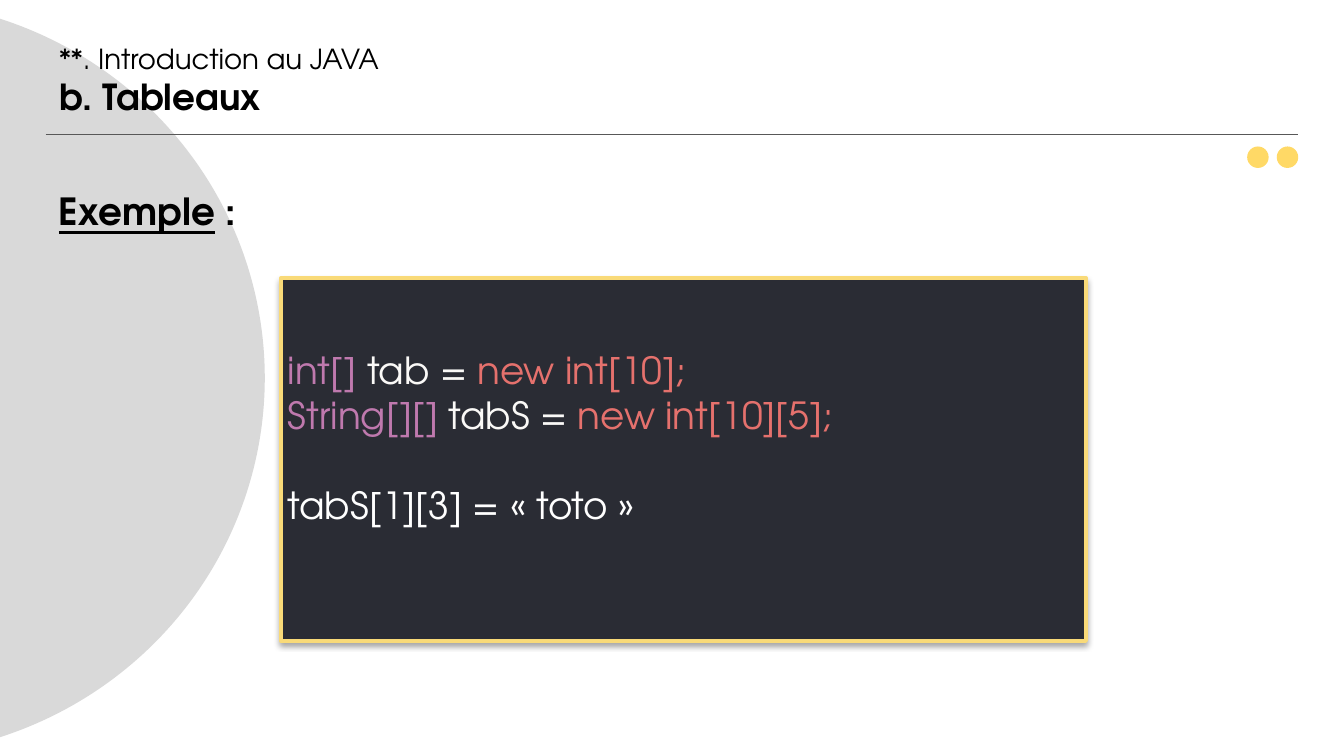
import pptx
import pptx.util
import pptx.dml.color
import pptx.enum.shapes
import pptx.enum.text
import pptx.oxml
import pptx.oxml.ns

Inches, Pt = pptx.util.Inches, pptx.util.Pt
SHAPE = pptx.enum.shapes.MSO_SHAPE
ANCHOR = pptx.enum.text.MSO_ANCHOR

WIDTH = 10
HEIGHT = WIDTH * 9 / 16
MARGIN = 0.34
CONTENT_WIDTH = WIDTH - 2 * MARGIN
FONT = "TeX Gyre Adventor"
BLACK, YELLOW, GREY = "000000", "FFD966", "D9D9D9"
TYPE, PLAIN, VALUE, WHITE = "BF79AE", "FAF9F7", "E5716D", "FFFFFF"


def color(value):
    return pptx.dml.color.RGBColor.from_string(value)


def add_effects(shape, content=""):
    """Give a shape its own effect list, empty by default."""
    effects = pptx.oxml.parse_xml(
        f'<a:effectLst {pptx.oxml.ns.nsdecls("a")}>{content}</a:effectLst>')
    shape._element.spPr.append(effects)


def add_filled(slide, kind, left, top, width, height, fill):
    shape = slide.shapes.add_shape(
        kind, Inches(left), Inches(top), Inches(width), Inches(height))
    shape.fill.solid()
    shape.fill.fore_color.rgb = color(fill)
    shape.line.fill.background()
    shape.shadow.inherit = False
    return shape


def set_frame(frame, inset, anchor=ANCHOR.TOP):
    frame.word_wrap = True
    frame.auto_size = pptx.enum.text.MSO_AUTO_SIZE.NONE
    frame.vertical_anchor = anchor
    frame.margin_left = frame.margin_right = Inches(inset)
    frame.margin_top = frame.margin_bottom = Inches(inset)


def write_lines(frame, lines):
    """Each line is a list of runs: text, size, colour, bold, underline."""
    for index, runs in enumerate(lines):
        line = frame.add_paragraph() if index else frame.paragraphs[0]
        line.alignment = pptx.enum.text.PP_ALIGN.LEFT
        for text, size, ink, bold, underline in runs:
            run = line.add_run()
            run.text = text
            run.font.name = FONT
            run.font.size = Pt(size)
            run.font.bold = bold
            run.font.underline = underline
            run.font.color.rgb = color(ink)


def add_code(slide, left, top, width, height, lines):
    panel = add_filled(slide, SHAPE.RECTANGLE, left, top, width, height, "2A2C34")
    panel.line.color.rgb = color("F9DA78")
    panel.line.width = Pt(2)
    panel.shadow.inherit = True
    add_effects(panel, (
        f'<a:outerShdw blurRad="{Pt(3)}" dist="{Pt(1.8)}" dir="5400000" rotWithShape="0">'
        '<a:srgbClr val="000000"><a:alpha val="35000"/></a:srgbClr></a:outerShdw>'))
    frame = panel.text_frame
    set_frame(frame, 0.05, ANCHOR.MIDDLE)
    write_lines(frame, [[(text, 20, ink, False, False) for text, ink in line]
                        for line in lines])
    # One line of room above the assignment and one below it
    frame.paragraphs[-1].space_before = Pt(24)
    frame.margin_bottom = Inches(0.05) + Pt(24)


def add_heading(slide):
    title = slide.shapes.title
    title.left, title.top = Inches(MARGIN), Inches(0.21)
    title.width, title.height = Inches(CONTENT_WIDTH), Inches(0.78)
    set_frame(title.text_frame, 0.1)
    write_lines(title.text_frame, [
        [("**. Introduction au JAVA", 14.8, BLACK, False, False)],
        [("b. Tableaux", 19.2, BLACK, True, False)]])
    # Bring the title in front of the grey disc
    slide.shapes._spTree.append(title._element)


def add_rule(slide, y):
    rule = slide.shapes.add_connector(
        pptx.enum.shapes.MSO_CONNECTOR.STRAIGHT,
        Inches(MARGIN), Inches(y), Inches(WIDTH - MARGIN), Inches(y))
    rule.line.color.rgb = color("585858")
    rule.line.width = Pt(0.75)
    add_effects(rule)


def main():
    deck = pptx.Presentation()
    deck.slide_width, deck.slide_height = Inches(WIDTH), Inches(HEIGHT)
    slide = deck.slides.add_slide(deck.slide_layouts[5])

    # Background disc
    add_filled(slide, SHAPE.OVAL, -3.75, 0, 5.72, HEIGHT, GREY)

    # Example label
    label = slide.shapes.add_textbox(
        Inches(MARGIN), Inches(1.3), Inches(8.52), Inches(0.53))
    set_frame(label.text_frame, 0.1)
    write_lines(label.text_frame, [[("Exemple", 20, BLACK, True, True),
                                    (" :", 20, BLACK, True, False)]])

    # Code panel
    add_code(slide, 2.09, 2.07, 5.99, 2.7, [
        [("int[] ", TYPE), ("tab = ", PLAIN), ("new int[10];", VALUE)],
        [("String[][] ", TYPE), ("tabS = ", PLAIN), ("new int[10][5];", VALUE)],
        [("tabS[1][3] = « toto »", WHITE)]])

    # Heading, rule and dots
    add_heading(slide)
    add_rule(slide, 1)
    dot, pitch = 0.16, 0.22
    for place in range(2):
        left = WIDTH - MARGIN - dot - (1 - place) * pitch
        add_filled(slide, SHAPE.OVAL, left, 1.09, dot, dot, YELLOW)

    deck.save("out.pptx")


if __name__ == "__main__":
    main()
